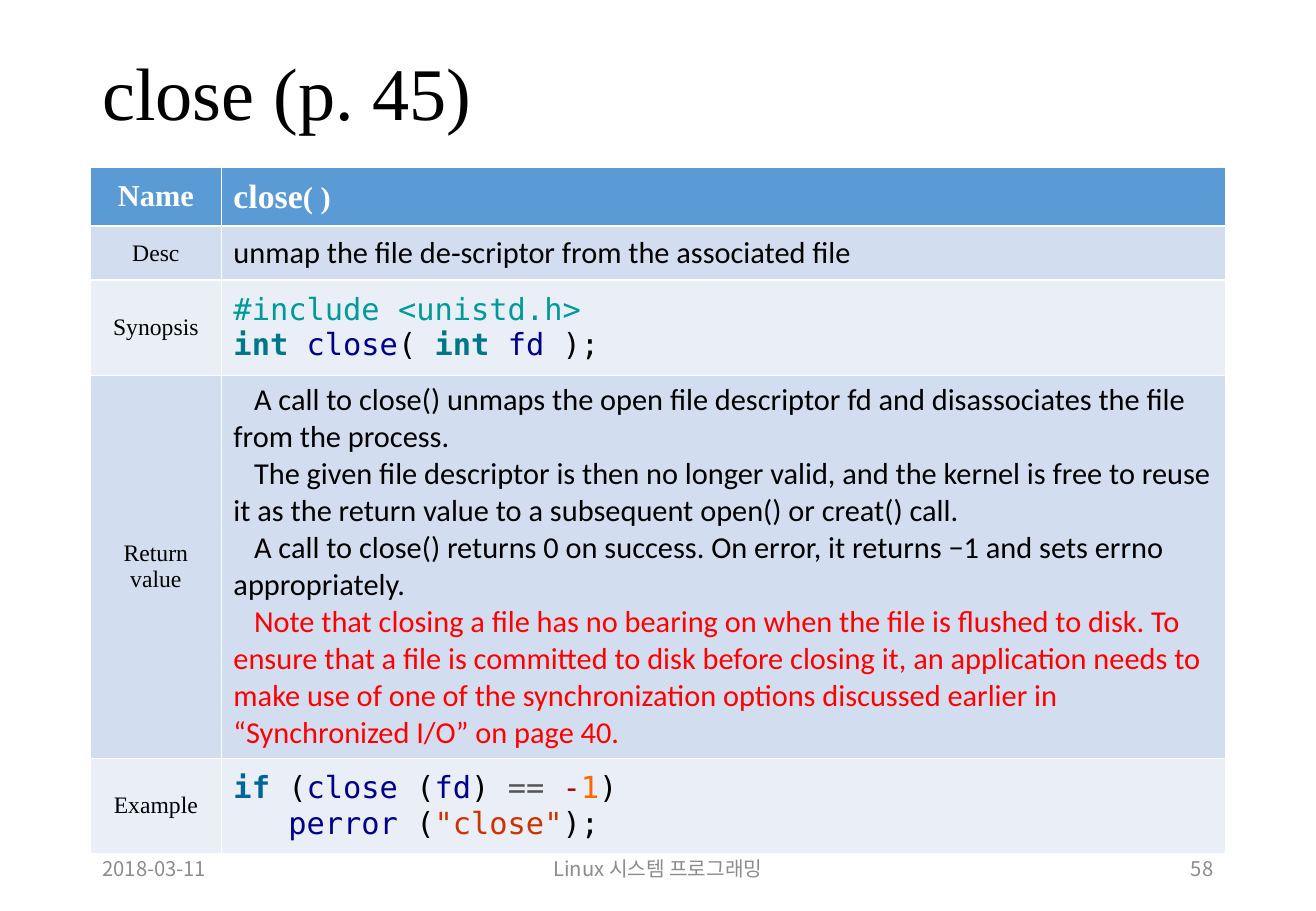
from dataclasses import dataclass

import pptx
import pptx.dml.color
import pptx.enum.text
import pptx.util

Pt = pptx.util.Pt
RGBColor = pptx.dml.color.RGBColor
Align = pptx.enum.text.PP_ALIGN
Anchor = pptx.enum.text.MSO_ANCHOR

BLACK = RGBColor(0x00, 0x00, 0x00)
WHITE = RGBColor(0xFF, 0xFF, 0xFF)
GRAY = RGBColor(0x8C, 0x8C, 0x8C)
RED = RGBColor(0xFF, 0x00, 0x00)
BLUE = RGBColor(0x5B, 0x9B, 0xD5)
MID = RGBColor(0xD2, 0xDE, 0xEF)
PALE = RGBColor(0xEA, 0xEF, 0xF7)
TEAL = RGBColor(0x00, 0x9A, 0x9A)
TYPE = RGBColor(0x00, 0x77, 0x89)
NAVY = RGBColor(0x00, 0x00, 0x89)
WORD = RGBColor(0x00, 0x66, 0x99)
IDENT = RGBColor(0x00, 0x00, 0x88)
EQUAL = RGBColor(0x55, 0x55, 0x55)
MINUS = RGBColor(0xAA, 0x00, 0x00)
DIGIT = RGBColor(0xFF, 0x66, 0x00)
QUOTE = RGBColor(0xCC, 0x33, 0x00)

SERIF = "Times New Roman"
SANS = "Calibri"
MONO = "DejaVu Sans Mono"
KOREAN = "Noto Sans CJK KR"
LEFT = 53.6
BREAK = "\n"


@dataclass(frozen=True)
class Run:
    text: str
    color: RGBColor | None = None
    bold: bool | None = None
    size: float | None = None


@dataclass(frozen=True)
class Para:
    runs: tuple[Run, ...]
    face: str
    size: float | None = 18
    color: RGBColor | None = BLACK
    bold: bool | None = False
    align: Align = Align.LEFT
    indent: float = 0
    line: float | None = None


@dataclass(frozen=True)
class Row:
    label: Para
    body: tuple[Para, ...]
    height: float
    fill: RGBColor


@dataclass(frozen=True)
class Box:
    left: float
    top: float
    width: float
    height: float
    para: Para


def label(text: str) -> Para:
    return Para((Run(text),), SERIF, 14, align=Align.CENTER)


def prose(text: str, color: RGBColor = BLACK, indent: float = 12.2) -> Para:
    return Para((Run(text),), SANS, color=color, indent=indent)


def code(*runs: Run) -> Para:
    return Para(runs, MONO, color=None, bold=None)


def footer(left: float, width: float, text: str, align: Align) -> Box:
    return Box(left, 500.5, width, 28.8, Para((Run(text),), KOREAN, 12, GRAY, align=align))


BOXES = (
    Box(LEFT, 28.8, 672.5, 56.9, Para((Run("close (p. 45)"),), SERIF, 44, line=0.9)),
    footer(LEFT, 175.5, "2018-03-11", Align.LEFT),
    footer(258.3, 263.3, "Linux 시스템 프로그래밍", Align.CENTER),
    footer(550.8, 175.5, "58", Align.RIGHT),
)

ROWS = (
    Row(
        Para((Run("Name"),), SERIF, 18, WHITE, True, Align.CENTER),
        (Para((Run("close", size=20), Run("( )", size=18)), SERIF, None, WHITE, True),),
        35, BLUE,
    ),
    Row(
        label("Desc"),
        (prose("unmap the file de‐scriptor from the associated file", indent=0),),
        32, MID,
    ),
    Row(
        label("Synopsis"),
        (
            code(Run("#include <unistd.h>", TEAL)),
            code(Run("int ", TYPE, True), Run("close", NAVY), Run("( ", BLACK),
                 Run("int ", TYPE, True), Run("fd ", NAVY), Run(");", BLACK)),
        ),
        56.5, PALE,
    ),
    Row(
        label("Return value"),
        (
            prose("A call to close() unmaps the open file descriptor fd and "
                  "disassociates the file from the process."),
            prose("The given file descriptor is then no longer valid, and the kernel is free "
                  "to reuse it as the return value to a subsequent open() or creat() call."),
            prose("A call to close() returns 0 on success. On error, it returns −1 "
                  "and sets errno appropriately."),
            prose("Note that closing a file has no bearing on when the file is flushed to disk. "
                  "To ensure that a file is committed to disk before closing it, an application "
                  "needs to make use of one of the synchronization options discussed earlier in "
                  "“Synchronized I/O” on page 40.", RED),
        ),
        227, MID,
    ),
    Row(
        label("Example"),
        (
            code(Run("if ", WORD, True), Run("(", BLACK), Run("close ", IDENT), Run("(", BLACK),
                 Run("fd", IDENT), Run(") ", BLACK), Run("== ", EQUAL), Run("-", MINUS),
                 Run("1", DIGIT), Run(")", BLACK), Run(BREAK), Run("   perror ", IDENT),
                 Run("(", BLACK), Run('"close"', QUOTE), Run(");", BLACK)),
        ),
        56.5, PALE,
    ),
)


def style(font: pptx.text.text.Font, item: Run | Para) -> None:
    if item.size is not None:
        font.size = Pt(item.size)
    if item.bold is not None:
        font.bold = item.bold
    if item.color is not None:
        font.color.rgb = item.color


def write(frame: pptx.text.text.TextFrame, paras: tuple[Para, ...]) -> None:
    for index, para in enumerate(paras):
        target = frame.add_paragraph() if index else frame.paragraphs[0]
        target.alignment = para.align
        if para.line is not None:
            target.line_spacing = para.line
        if para.indent:
            props = target._p.get_or_add_pPr()
            props.set("marL", "0")
            props.set("indent", str(Pt(para.indent)))
        target.font.name = para.face
        style(target.font, para)
        for item in para.runs:
            if item.text == BREAK:
                target.add_line_break()
                continue
            run = target.add_run()
            run.text = item.text
            style(run.font, item)


def draw_box(slide: pptx.slide.Slide, box: Box) -> None:
    shape = slide.shapes.add_textbox(Pt(box.left), Pt(box.top), Pt(box.width), Pt(box.height))
    shape.text_frame.word_wrap = True
    shape.text_frame.vertical_anchor = Anchor.MIDDLE
    write(shape.text_frame, (box.para,))


def draw_table(slide: pptx.slide.Slide, rows: tuple[Row, ...]) -> None:
    widths = (77.6, 595.2)
    height = sum(row.height for row in rows)
    table = slide.shapes.add_table(
        len(rows), len(widths), Pt(LEFT), Pt(99), Pt(sum(widths)), Pt(height)
    ).table
    for column, width in zip(table.columns, widths):
        column.width = Pt(width)
    for index, row in enumerate(rows):
        table.rows[index].height = Pt(row.height)
        for cell, paras in zip(table.rows[index].cells, ((row.label,), row.body)):
            cell.fill.solid()
            cell.fill.fore_color.rgb = row.fill
            cell.vertical_anchor = Anchor.MIDDLE
            write(cell.text_frame, paras)


def main() -> None:
    deck = pptx.Presentation()
    deck.slide_width, deck.slide_height = Pt(780), Pt(540)
    slide = deck.slides.add_slide(deck.slide_layouts[6])
    for box in BOXES:
        draw_box(slide, box)
    draw_table(slide, ROWS)
    deck.save("out.pptx")


if __name__ == "__main__":
    main()
